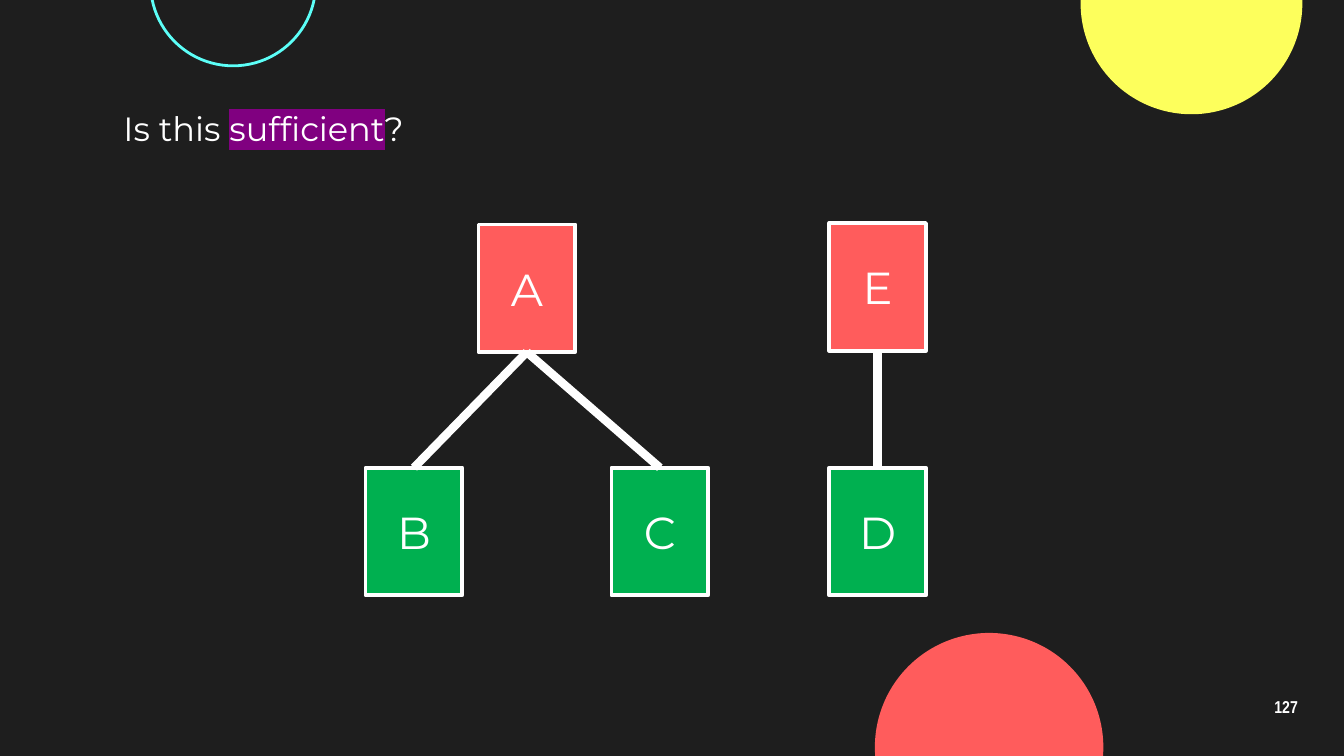
"""Build a slide asking whether a two-coloured pair of trees is sufficient."""
from lxml import etree
from pptx import Presentation
from pptx.dml.color import RGBColor
from pptx.enum import shapes, text
from pptx.oxml import ns
from pptx.util import Inches, Pt

DARK = RGBColor(0x1E, 0x1E, 0x1E)
WHITE = RGBColor(0xFF, 0xFF, 0xFF)
YELLOW = RGBColor(0xFD, 0xFF, 0x5C)
CYAN = RGBColor(0x5C, 0xFF, 0xF8)
RED = RGBColor(0xFF, 0x5C, 0x5C)
GREEN = RGBColor(0x00, 0xB0, 0x50)
PURPLE = RGBColor(0x80, 0x00, 0x80)

SLIDE_W = 10
SLIDE_H = SLIDE_W * 9 / 16
CIRCLES = [
    (8.04, -0.8, 1.65, YELLOW, None),
    (1.12, -0.74, 1.23, None, CYAN),
    (6.51, 4.71, 1.7, RED, None),
]
QUESTION = [("Is this ", None), ("sufficient", PURPLE), ("?", None)]
PAGE = "127"
NODE_W, NODE_H = 0.72, 0.95
PARENT_TOP, CHILD_TOP = 1.67, 3.48
NODES = {
    "A": (3.56, PARENT_TOP, RED),
    "B": (2.72, CHILD_TOP, GREEN),
    "C": (4.55, CHILD_TOP, GREEN),
    "D": (6.17, CHILD_TOP, GREEN),
    "E": (6.17, PARENT_TOP - 0.01, RED),
}
EDGES = [("A", "B"), ("A", "C"), ("E", "D")]


def add_outline(slide, kind, box, fill, line, width):
    shape = slide.shapes.add_shape(kind, *map(Inches, box))
    shape.shadow.inherit = False
    for part, color in ((shape.fill, fill), (shape.line.fill, line)):
        if color is None:
            part.background()
        else:
            part.solid()
            part.fore_color.rgb = color
    if line is not None:
        shape.line.width = Pt(width)
    return shape


def style(paragraph, font_name, size, bold=False):
    font = paragraph.font
    font.name, font.size, font.bold = font_name, Pt(size), bold
    font.color.rgb = WHITE


def add_text(slide, box, anchor):
    frame = slide.shapes.add_textbox(*map(Inches, box)).text_frame
    frame.word_wrap = True
    frame.vertical_anchor = anchor
    frame.margin_left = frame.margin_right = Inches(0.1)
    frame.margin_top = frame.margin_bottom = Inches(0.1)
    return frame.paragraphs[0]


def highlight(run, color):
    mark = etree.SubElement(run.font._element, ns.qn("a:highlight"))
    etree.SubElement(mark, ns.qn("a:srgbClr"), val=str(color))


def add_node(slide, letter, left, top, fill):
    node = add_outline(slide, shapes.MSO_SHAPE.RECTANGLE,
                       (left, top, NODE_W, NODE_H), fill, WHITE, 2)
    node.text_frame.vertical_anchor = text.MSO_ANCHOR.MIDDLE
    label = node.text_frame.paragraphs[0]
    label.text = letter
    label.alignment = text.PP_ALIGN.CENTER
    style(label, "Montserrat", 24)


def add_edge(slide, parent, child):
    start_left, start_top, _ = NODES[parent]
    end_left, end_top, _ = NODES[child]
    ends = (start_left + NODE_W / 2, start_top + NODE_H,
            end_left + NODE_W / 2, end_top)
    edge = slide.shapes.add_connector(
        shapes.MSO_CONNECTOR.STRAIGHT, *map(Inches, ends))
    edge.line.color.rgb = WHITE
    edge.line.width = Pt(4.5)
    etree.SubElement(edge._element.spPr, ns.qn("a:effectLst"))


def main():
    deck = Presentation()
    deck.slide_width, deck.slide_height = Inches(SLIDE_W), Inches(SLIDE_H)
    slide = deck.slides.add_slide(deck.slide_layouts[6])
    slide.background.fill.solid()
    slide.background.fill.fore_color.rgb = DARK

    for left, top, size, fill, line in CIRCLES:
        add_outline(slide, shapes.MSO_SHAPE.OVAL,
                    (left, top, size, size), fill, line, 1.5)

    page = add_text(slide, (9.27, 5.1, 0.6, 0.34), text.MSO_ANCHOR.MIDDLE)
    page.text = PAGE
    page.alignment = text.PP_ALIGN.CENTER
    page.line_spacing = 0.9
    style(page, "Arial Narrow", 9.2, bold=True)

    for letter, (left, top, fill) in NODES.items():
        add_node(slide, letter, left, top, fill)

    question = add_text(slide, (0.82, 0.7, 8.48, 0.54), text.MSO_ANCHOR.TOP)
    for words, color in QUESTION:
        run = question.add_run()
        run.text = words
        if color is not None:
            highlight(run, color)
    style(question, "Montserrat", 18)

    for parent, child in EDGES:
        add_edge(slide, parent, child)
    deck.save("out.pptx")


if __name__ == "__main__":
    main()
